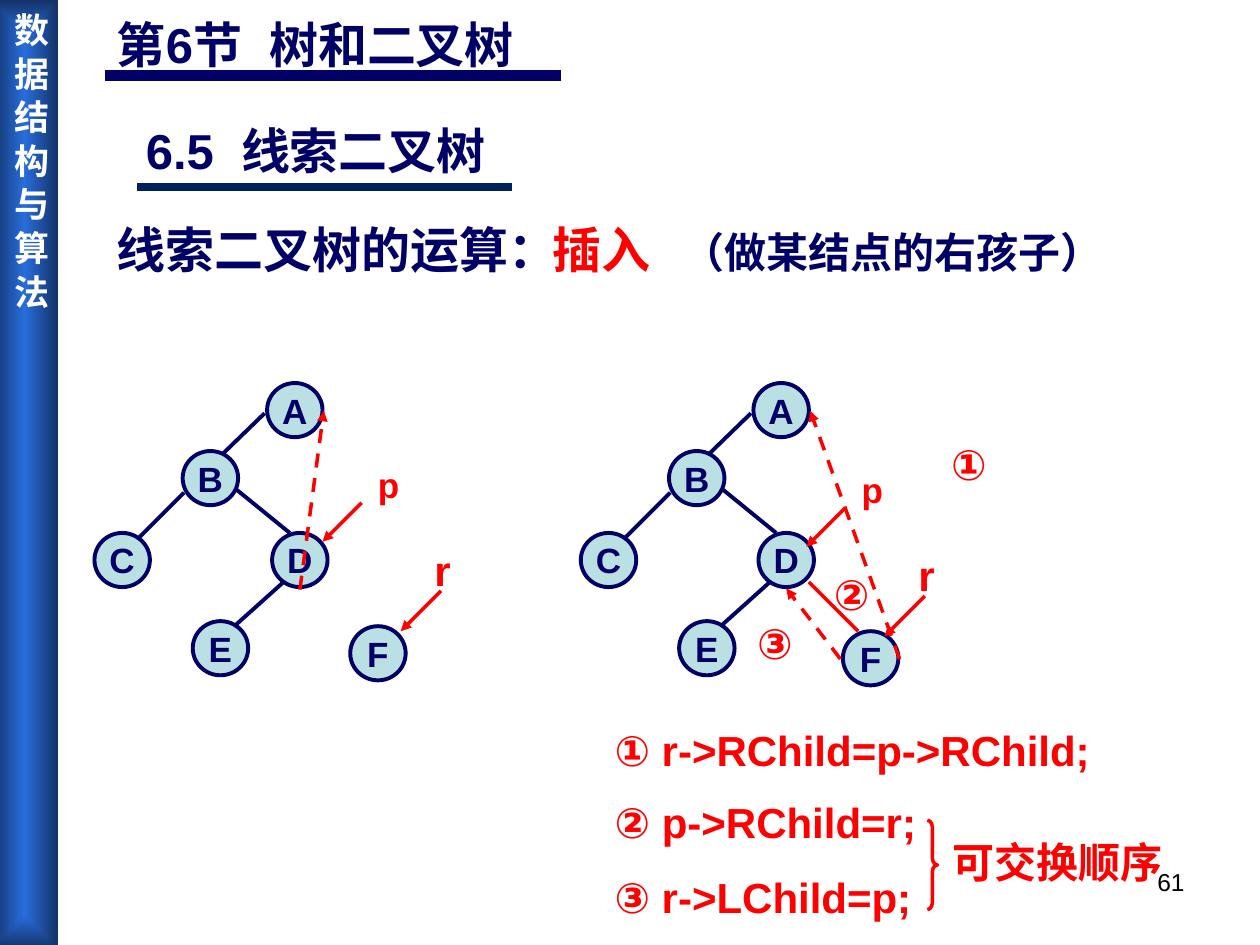
from dataclasses import dataclass
from typing import NamedTuple

from lxml.etree import SubElement
from pptx import Presentation
from pptx.dml.color import RGBColor
from pptx.enum.dml import MSO_LINE
from pptx.enum.shapes import MSO_CONNECTOR, MSO_SHAPE
from pptx.enum.text import MSO_ANCHOR, MSO_AUTO_SIZE, PP_ALIGN
from pptx.oxml import parse_xml
from pptx.oxml.ns import nsdecls, qn
from pptx.util import Inches, Pt


@dataclass(frozen=True)
class Theme:
    navy: str = "000066"
    deep: str = "002060"
    red: str = "FF0000"
    pale: str = "BBE0E3"
    white: str = "FFFFFF"
    black: str = "000000"
    glow: str = "286DDC"
    dusk: str = "133266"
    font: str = "Arial"
    han: str = "Noto Sans CJK SC"
    head: int = 28
    body: int = 24
    label: int = 20
    page: int = 14
    edge: float = 2.25
    link: float = 2


class Spot(NamedTuple):
    col: float
    row: float

    def move(self, cols: float, rows: float = 0) -> "Spot":
        return Spot(self.col + cols, self.row + rows)


class Box(NamedTuple):
    col: float
    row: float
    cols: float
    rows: float


class Node(NamedTuple):
    name: str
    spot: Spot


class Edge(NamedTuple):
    start: Spot
    end: Spot


class Mark(NamedTuple):
    text: str
    spot: Spot
    size: int
    start: Spot
    end: Spot


class Line(NamedTuple):
    text: str
    box: Box
    color: str
    size: int
    wrap: bool = False


T = Theme()
COLS, ROWS = 100, 75
deck = Presentation()
deck.slide_width, deck.slide_height = Inches(10), Inches(7.5)
slide = deck.slides.add_slide(deck.slide_layouts[6])


def grid(*spans: float) -> list[int]:
    units = deck.slide_width / COLS, deck.slide_height / ROWS
    return [round(span * units[i % 2]) for i, span in enumerate(spans)]


def write(frame, text: str, *, size: int, color: str, font: str = T.font,
          bold: bool = True, align=PP_ALIGN.LEFT, anchor=MSO_ANCHOR.TOP,
          wrap: bool = False) -> None:
    frame.word_wrap = wrap
    frame.vertical_anchor = anchor
    para = frame.paragraphs[0]
    para.alignment = align
    run = para.add_run()
    run.text = text
    run.font.size, run.font.bold, run.font.name = Pt(size), bold, font
    run.font.color.rgb = RGBColor.from_string(color)
    SubElement(run.font._element, qn("a:ea"), typeface=font)


def label(text: str, box: Box, **style) -> None:
    frame = slide.shapes.add_textbox(*grid(*box)).text_frame
    write(frame, text, **style)
    frame.auto_size = MSO_AUTO_SIZE.SHAPE_TO_FIT_TEXT


def draw(edge: Edge, color: str, width: float, dash: bool = False,
         arrow: bool = False) -> None:
    line = slide.shapes.add_connector(
        MSO_CONNECTOR.STRAIGHT, *grid(*edge.start, *edge.end))
    line.line.color.rgb = RGBColor.from_string(color)
    line.line.width = Pt(width)
    if dash:
        line.line.dash_style = MSO_LINE.DASH
    if arrow:
        SubElement(line.line._get_or_add_ln(), qn("a:tailEnd"), type="triangle")
    SubElement(line._element.spPr, qn("a:effectLst"))


def ball(node: Node) -> None:
    shape = slide.shapes.add_shape(MSO_SHAPE.OVAL, *grid(*node.spot, 4.4, 4.3))
    shape.shadow.inherit = False
    shape.fill.solid()
    shape.fill.fore_color.rgb = RGBColor.from_string(T.pale)
    shape.line.color.rgb = RGBColor.from_string(T.navy)
    shape.line.width = Pt(T.edge)
    write(shape.text_frame, node.name, size=T.label, color=T.navy,
          align=PP_ALIGN.CENTER, anchor=MSO_ANCHOR.MIDDLE)


def mark(item: Mark, shift: Spot) -> None:
    spot = item.spot.move(*shift)
    label(item.text, Box(*spot, 3.7, 5), size=item.size, color=T.red)
    draw(Edge(spot.move(*item.start), spot.move(*item.end)),
         T.red, T.link, arrow=True)


NODES = (
    Node("A", Spot(21.2, 30.4)),
    Node("B", Spot(14.5, 35.8)),
    Node("C", Spot(7.5, 42.3)),
    Node("D", Spot(21.6, 42.3)),
    Node("E", Spot(15.3, 49.3)),
)
EDGES = (
    Edge(Spot(21, 32.8), Spot(17.7, 36)),
    Edge(Spot(14.6, 39.1), Spot(10.9, 42.8)),
    Edge(Spot(18.7, 38.8), Spot(23, 42.3)),
    Edge(Spot(22.5, 46.2), Spot(18.6, 49.7)),
)
MARKS = (
    Mark("p", Spot(29, 36.3), T.label, Spot(-0.3, 3.6), Spot(-3.4, 6.7)),
    Mark("r", Spot(33.5, 42.7), T.body, Spot(1.5, 4.2), Spot(-1.7, 7.4)),
)
STEP = 38.6


def tree(left: float, leaf: Spot, shift: Spot) -> None:
    for node in NODES:
        ball(Node(node.name, node.spot.move(left)))
    for edge in EDGES:
        draw(Edge(edge.start.move(left), edge.end.move(left)), T.navy, T.edge)
    ball(Node("F", leaf))
    for item in MARKS:
        mark(item, shift)


def side() -> None:
    bar = slide.shapes.add_shape(MSO_SHAPE.RECTANGLE, *grid(-0.7, 0, 5.3, 75.3))
    bar.shadow.inherit = False
    bar.line.fill.background()
    bar.fill.background()
    blank = bar._element.spPr.find(qn("a:noFill"))
    stops = "".join(f'<a:gs pos="{pos}"><a:srgbClr val="{color}"/></a:gs>'
                    for pos, color in ((0, T.glow), (100000, T.dusk)))
    blank.getparent().replace(blank, parse_xml(
        f'<a:gradFill {nsdecls("a")}><a:gsLst>{stops}</a:gsLst>'
        '<a:path path="rect"><a:fillToRect l="50000" t="50000" r="50000" '
        'b="50000"/></a:path></a:gradFill>'))
    frame = bar.text_frame
    frame.margin_left = frame.margin_right = Inches(0.05)
    frame.margin_top = frame.margin_bottom = Inches(0.1)
    write(frame, "数 据 结 构 与 算 法", size=T.label, color=T.white,
          font=T.han, align=PP_ALIGN.CENTER, wrap=True)
    frame.auto_size = MSO_AUTO_SIZE.SHAPE_TO_FIT_TEXT
    frame._txBody.bodyPr.set("vert", "eaVert")


def brace() -> None:
    shape = slide.shapes.add_shape(
        MSO_SHAPE.RIGHT_BRACE, *grid(73.6, 65.1, 0.8, 7.1))
    shape.shadow.inherit = False
    shape.adjustments[0] = 0.7
    shape.fill.background()
    shape.line.color.rgb = RGBColor.from_string(T.red)
    shape.line.width = Pt(T.link)


LINES = (
    Line("第6节  树和二叉树", Box(8.3, 0.7, 37, 10.4), T.navy, T.head, True),
    Line("6.5  线索二叉树", Box(10.6, 9.1, 31.6, 5.7), T.navy, T.head, True),
    Line("线索二叉树的运算：", Box(8.3, 16.9, 39.4, 5.7), T.navy, T.head, True),
    Line("插入", Box(42.9, 16.9, 10.1, 5.7), T.red, T.head),
    Line("（做某结点的右孩子）", Box(53.2, 17.5, 35.6, 5), T.navy, T.body),
    Line("①", Box(74.5, 34.3, 4.8, 5), T.red, T.body),
    Line("②", Box(65.2, 44.6, 4.8, 5), T.red, T.body),
    Line("③", Box(59.1, 48.5, 4.8, 5), T.red, T.body),
    Line("① r->RChild=p->RChild;", Box(47.8, 57, 40, 5), T.red, T.body),
    Line("② p->RChild=r;", Box(47.8, 62.7, 26.2, 5), T.red, T.body),
    Line("③ r->LChild=p;", Box(47.8, 68.7, 26, 5), T.red, T.body),
    Line("可交换顺序", Box(74.6, 65.9, 19, 5), T.red, T.body),
)


def main() -> None:
    side()
    label("61", Box(71.7, 68.3, 23.3, 5.2), size=T.page, color=T.black,
          bold=False, align=PP_ALIGN.RIGHT, wrap=True)
    draw(Edge(Spot(8.3, 6), Spot(44.5, 6)), T.navy, 6)
    draw(Edge(Spot(10.9, 14.85), Spot(40.6, 14.85)), T.deep, 4.25)
    tree(0, Spot(27.8, 49.7), Spot(0, 0))
    tree(STEP, Spot(66.9, 50.1), Spot(STEP - 0.2, 0.4))
    draw(Edge(Spot(64.2, 46.2), Spot(68.1, 50.1)), T.red, T.link)
    for thread in (Edge(Spot(23.8, 46.8), Spot(25.7, 32.6)),
                   Edge(Spot(66.7, 52.3), Spot(62.4, 46.7)),
                   Edge(Spot(71.4, 52.3), Spot(64.3, 32.6))):
        draw(thread, T.red, T.link, dash=True, arrow=True)
    for line in LINES:
        label(line.text, line.box, size=line.size, color=line.color,
              wrap=line.wrap)
    brace()
    deck.save("out.pptx")


if __name__ == "__main__":
    main()
